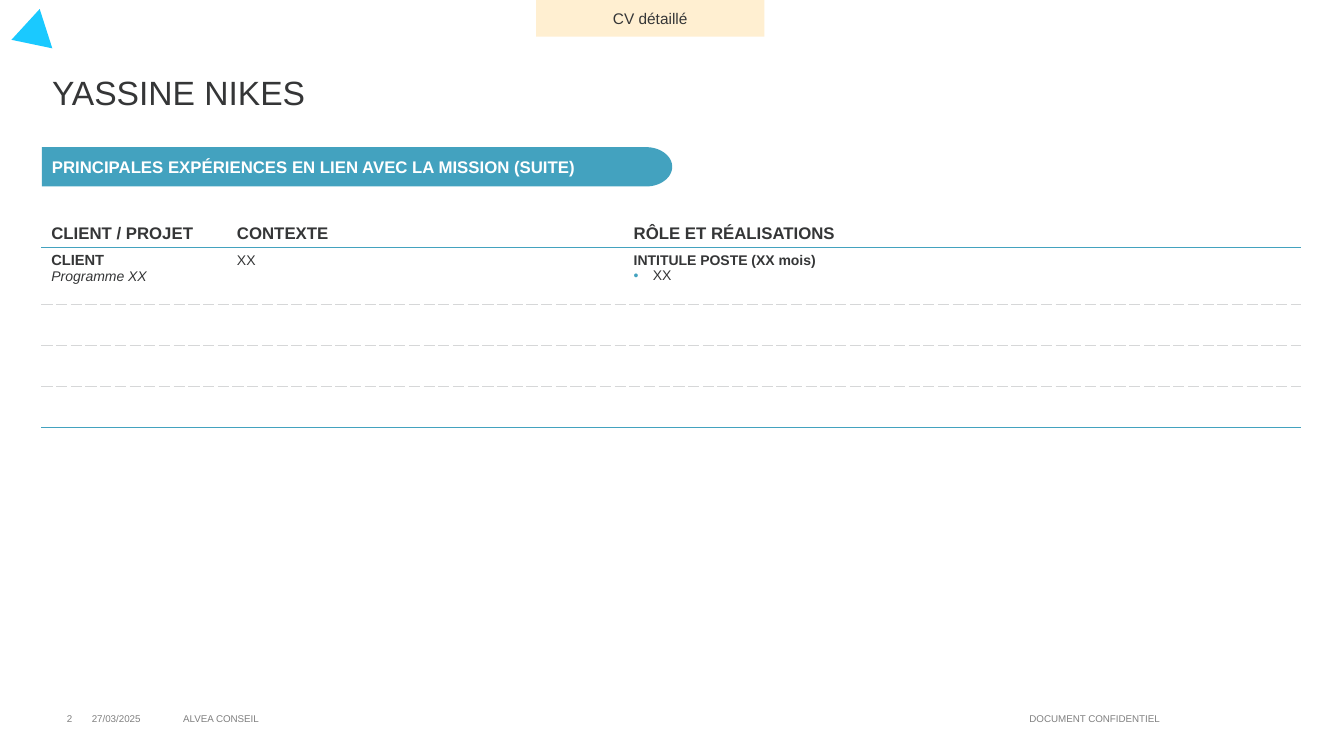
from math import cos, pi, sin

from lxml import etree
from pptx import Presentation
from pptx.dml.color import RGBColor
from pptx.enum.shapes import MSO_SHAPE
from pptx.enum.text import MSO_ANCHOR, PP_ALIGN
from pptx.oxml.ns import qn
from pptx.util import Pt

LEFT, CENTER, RIGHT = PP_ALIGN.LEFT, PP_ALIGN.CENTER, PP_ALIGN.RIGHT
MIDDLE, TOP = MSO_ANCHOR.MIDDLE, MSO_ANCHOR.TOP
COLORS = {
    "ink": "353637", "teal": "43A2BF", "cyan": "1AC9FF", "cream": "FFEFD1",
    "gray": "808080", "dash": "D6D7D8", "white": "FFFFFF",
}


def write(paragraph, text, size, color="ink", align=LEFT, **formats):
    paragraph.alignment = align
    run = paragraph.add_run()
    run.text = text
    run.font.color.rgb = RGBColor.from_string(COLORS[color])
    values = {"name": "Arial", "size": Pt(size), "bold": False, **formats}
    for name, value in values.items():
        setattr(run.font, name, value)


def paint(shape, color):
    shape.shadow.inherit = False
    shape.fill.solid()
    shape.fill.fore_color.rgb = RGBColor.from_string(COLORS[color])
    shape.line.fill.background()


presentation = Presentation()
presentation.slide_width, presentation.slide_height = Pt(960), Pt(540)
slide = presentation.slides.add_slide(presentation.slide_layouts[5])
shapes = slide.shapes

# Corner triangle
triangle = shapes.add_shape(MSO_SHAPE.ISOSCELES_TRIANGLE, Pt(5.8), Pt(11.5), Pt(29.5), Pt(25.9))
triangle.rotation = 252.2
paint(triangle, "cyan")

# Title
title = shapes.title
title.left, title.top, title.width, title.height = Pt(30), Pt(38.2), Pt(900), Pt(54.7)
title.text_frame.vertical_anchor = MIDDLE
write(title.text_frame.paragraphs[0], "YASSINE NIKES", 24)

# Section banner with a rounded right end
banner_left, banner_top, banner_height = 30, 105.1, 28.1
curve_x, curve_width, steps = 461.5, 18.7, 32
radius = banner_height / 2
arc = [-pi / 2 + pi * step / steps for step in range(steps + 1)]
outline = [(curve_x + curve_width * cos(angle), banner_top + radius + radius * sin(angle))
           for angle in arc]
outline.append((banner_left, banner_top + banner_height))
builder = shapes.build_freeform(Pt(banner_left), Pt(banner_top))
builder.add_line_segments([(Pt(x), Pt(y)) for x, y in outline], close=True)
banner = builder.convert_to_shape()
paint(banner, "teal")
banner.text_frame.vertical_anchor = MIDDLE
banner.text_frame.word_wrap = True
write(banner.text_frame.paragraphs[0],
      "PRINCIPALES EXPÉRIENCES EN LIEN AVEC LA MISSION (SUITE)", 12, "white", bold=True)

# Document type tag
tag = shapes.add_shape(MSO_SHAPE.RECTANGLE, Pt(383), 0, Pt(163), Pt(26.2))
paint(tag, "cream")
tag.text_frame.vertical_anchor = MIDDLE
write(tag.text_frame.paragraphs[0], "CV détaillé", 11, align=CENTER)

# Experience table: each cell lists its paragraphs as text, size and formats
content = [
    [[("CLIENT / PROJET", 12, {"bold": True})],
     [("CONTEXTE", 12, {"bold": True})],
     [("RÔLE ET RÉALISATIONS", 12, {"bold": True})]],
    [[("CLIENT", 10.5, {"bold": True}), ("Programme XX", 10, {"italic": True})],
     [("XX", 10, {})],
     [("INTITULE POSTE (XX mois)", 10, {"bold": True}), ("XX", 10, {})]],
]
column_widths = [132.6, 283.4, 484]
row_heights = [20.6, 40.7, 29.1, 29.1, 29.1]
last_row, last_column = len(row_heights) - 1, len(column_widths) - 1
table = shapes.add_table(len(row_heights), len(column_widths), Pt(29.5), Pt(156.2),
                         Pt(sum(column_widths)), Pt(sum(row_heights))).table
table.first_row = table.horz_banding = False
for column, width in zip(table.columns, column_widths):
    column.width = Pt(width)
for row, height in zip(table.rows, row_heights):
    row.height = Pt(height)

# Rules: solid under the header and last row, dashed between entries
rules = [None, "teal"] + ["dash"] * (last_row - 1) + ["teal"]
for row_index in range(last_row + 1):
    for column_index in range(last_column + 1):
        cell = table.cell(row_index, column_index)
        cell.vertical_anchor = MIDDLE if row_index == 0 else TOP
        borders = {
            "a:lnL": "white" if column_index else None,
            "a:lnR": "white" if column_index < last_column else None,
            "a:lnT": rules[row_index],
            "a:lnB": rules[row_index + 1],
        }
        properties = cell._tc.get_or_add_tcPr()
        for tag_name, color in borders.items():
            line = etree.SubElement(properties, qn(tag_name), w=str(Pt(1)))
            if color is None:
                etree.SubElement(line, qn("a:noFill"))
                continue
            fill = etree.SubElement(line, qn("a:solidFill"))
            etree.SubElement(fill, qn("a:srgbClr"), val=COLORS[color])
            etree.SubElement(line, qn("a:prstDash"), val="sysDash" if color == "dash" else "solid")
        cell.fill.background()

for row_index, row_content in enumerate(content):
    for column_index, entries in enumerate(row_content):
        frame = table.cell(row_index, column_index).text_frame
        for index, (text, size, formats) in enumerate(entries):
            paragraph = frame.add_paragraph() if index else frame.paragraphs[0]
            write(paragraph, text, size, **formats)

# Bullet under the role
bullet = table.cell(1, last_column).text_frame.paragraphs[1]._p.get_or_add_pPr()
bullet.set("marL", str(Pt(13.7)))
bullet.set("indent", str(-Pt(13.7)))
bullet_color = etree.SubElement(bullet, qn("a:buClr"))
etree.SubElement(bullet_color, qn("a:srgbClr"), val=COLORS["teal"])
etree.SubElement(bullet, qn("a:buFont"), typeface="Arial")
etree.SubElement(bullet, qn("a:buChar"), char="•")

# Footer
footers = [
    ("2", 30, 28.8, RIGHT, True),
    ("27/03/2025", 58.5, 64.8, LEFT, True),
    ("ALVEA CONSEIL", 123.8, 604, LEFT, True),
    ("DOCUMENT CONFIDENTIEL", 727.5, 108.7, CENTER, False),
]
for text, left, width, align, wrap in footers:
    frame = shapes.add_textbox(Pt(left), Pt(499), Pt(width), Pt(28.8)).text_frame
    frame.word_wrap = wrap
    frame.vertical_anchor = MIDDLE
    write(frame.paragraphs[0], text, 7, "gray", align)

presentation.save("out.pptx")
